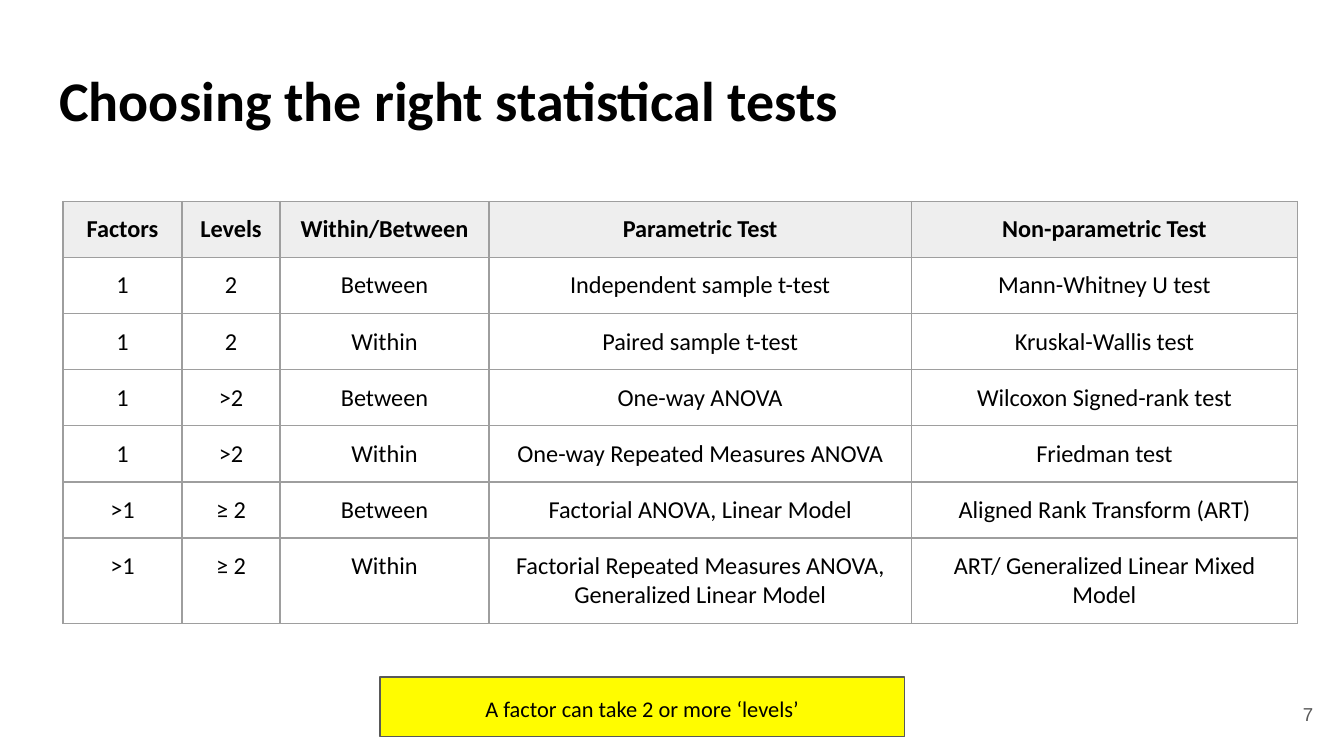
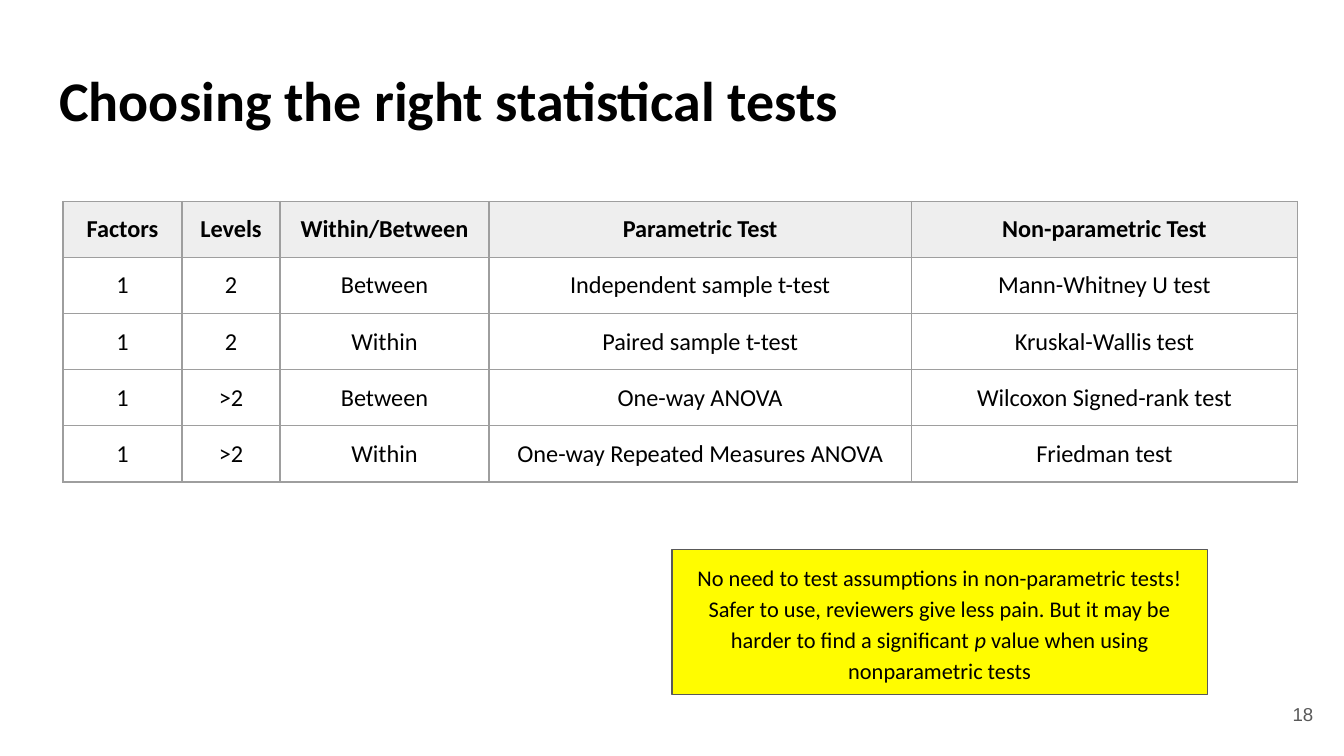
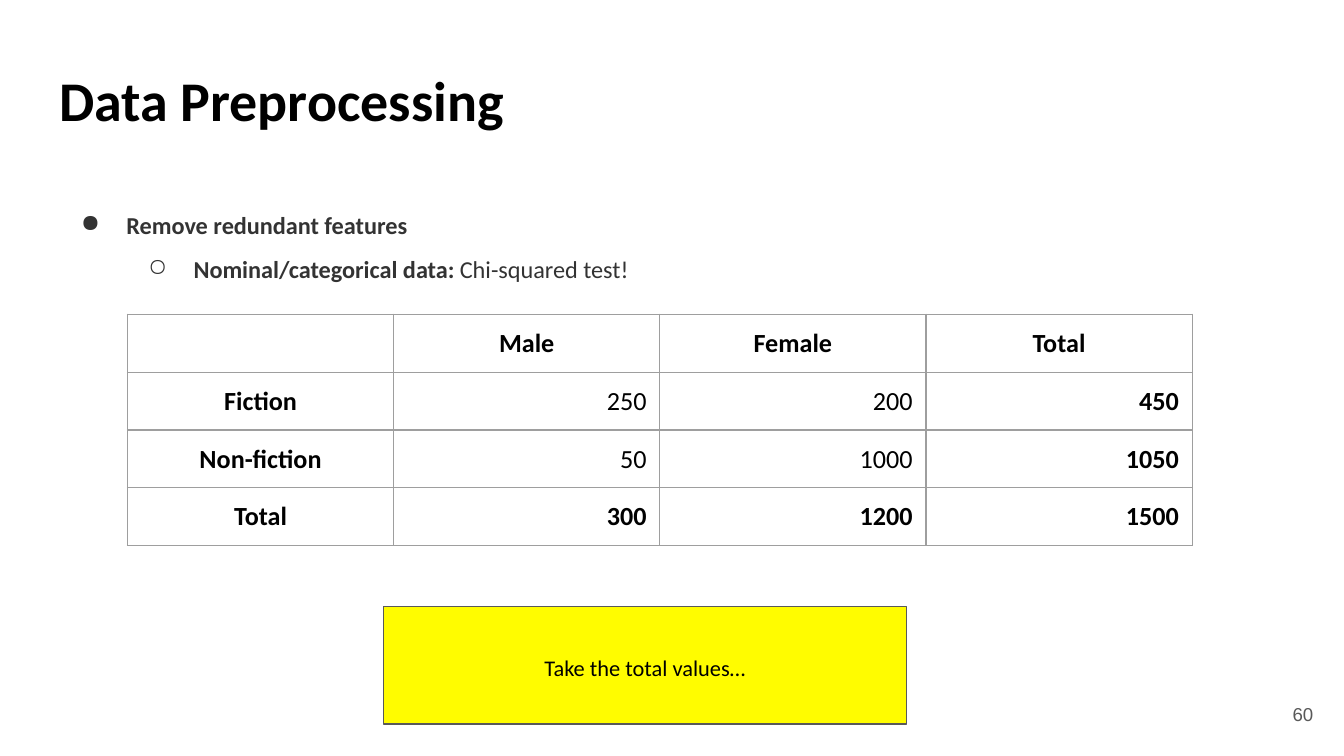
from dataclasses import dataclass

from lxml import etree
from pptx import Presentation
from pptx.dml.color import RGBColor
from pptx.enum import shapes, text
from pptx.oxml import ns
from pptx.util import Cm, Pt

LEFT, CENTER, RIGHT = text.PP_ALIGN.LEFT, text.PP_ALIGN.CENTER, text.PP_ALIGN.RIGHT


@dataclass(frozen=True)
class Theme:
    font: str = "Calibri"
    number_font: str = "Arial"
    ink: str = "000000"
    body: str = "333333"
    muted: str = "595959"
    border: str = "9E9E9E"
    header: str = "EEEEEE"
    paper: str = "FFFFFF"
    callout: str = "FFFC00"
    title_size: int = 30
    total_size: int = 14
    body_size: int = 13
    callout_size: int = 12
    number_size: int = 10
    line_width: float = 0.75
    inset: float = 0.25


THEME = Theme()
TITLE_BOX = (0.87, 1.24, 23.67, 1.6)
NUMBER_BOX = (23.55, 12.95, 1.52, 1.09)

TEST_COLUMNS = (2.25, 1.85, 3.95, 7.98, 7.3)
TESTS = [
    ("Factors", "Levels", "Within/Between", "Parametric Test", "Non-parametric Test"),
    ("1", "2", "Between", "Independent sample t-test", "Mann-Whitney U test"),
    ("1", "2", "Within", "Paired sample t-test", "Kruskal-Wallis test"),
    ("1", ">2", "Between", "One-way ANOVA", "Wilcoxon Signed-rank test"),
    ("1", ">2", "Within", "One-way Repeated Measures ANOVA", "Friedman test"),
    (">1", "≥ 2", "Between", "Factorial ANOVA, Linear Model", "Aligned Rank Transform (ART)"),
    (">1", "≥ 2", "Within", "Factorial Repeated Measures ANOVA, Generalized Linear Model",
     "ART/ Generalized Linear Mixed Model"),
]
READERS = [
    ("", "Male", "Female", "Total"),
    ("Fiction", "250", "200", "450"),
    ("Non-fiction", "50", "1000", "1050"),
    ("Total", "300", "1200", "1500"),
]


def rgb(value):
    return RGBColor.from_string(value)


def lengths(box):
    return [Cm(value) for value in box]


def set_font(font, size, color=THEME.ink, name=THEME.font, bold=None):
    font.size, font.name, font.bold = Pt(size), name, bold
    font.color.rgb = rgb(color)


def set_frame(frame, anchor=text.MSO_ANCHOR.TOP):
    frame.word_wrap = True
    frame.auto_size = text.MSO_AUTO_SIZE.NONE
    frame.vertical_anchor = anchor
    frame.margin_left = frame.margin_right = Cm(THEME.inset)
    frame.margin_top = frame.margin_bottom = Cm(THEME.inset)


def add_spans(para, spans):
    """Add (wording, style) runs, where style is "", "bold" or "italic"."""
    for wording, style in spans:
        span = para.add_run()
        span.text = wording
        if style:
            setattr(span.font, style, True)


def add_page(deck, title, number):
    page = deck.slides.add_slide(deck.slide_layouts[5])
    heading = page.shapes.title
    heading.left, heading.top, heading.width, heading.height = lengths(TITLE_BOX)
    set_frame(heading.text_frame)
    para = heading.text_frame.paragraphs[0]
    para.text, para.alignment, para.line_spacing = title, LEFT, 0.8
    set_font(para.font, THEME.title_size, bold=True)

    frame = page.shapes.add_textbox(*lengths(NUMBER_BOX)).text_frame
    set_frame(frame, text.MSO_ANCHOR.MIDDLE)
    para = frame.paragraphs[0]
    para.text, para.alignment = str(number), RIGHT
    set_font(para.font, THEME.number_size, THEME.muted, THEME.number_font)
    return page


def set_borders(cell):
    properties = cell._tc.get_or_add_tcPr()
    for side in ("a:lnL", "a:lnR", "a:lnT", "a:lnB"):
        line = etree.SubElement(properties, ns.qn(side), w=str(Pt(THEME.line_width)))
        fill = etree.SubElement(line, ns.qn("a:solidFill"))
        etree.SubElement(fill, ns.qn("a:srgbClr"), val=THEME.border)


def add_grid(page, left, top, columns, row_height, rows, size, style):
    """Draw a table; style(row, column) gives fill, alignment and boldness."""
    box = (left, top, sum(columns), row_height * len(rows))
    table = page.shapes.add_table(len(rows), len(columns), *lengths(box)).table
    table.first_row = table.horz_banding = False
    for column, width in zip(table.columns, columns):
        column.width = Cm(width)
    for r, row in enumerate(rows):
        table.rows[r].height = Cm(row_height)
        for c, wording in enumerate(row):
            fill, alignment, bold = style(r, c)
            cell = table.cell(r, c)
            set_borders(cell)
            cell.fill.solid()
            cell.fill.fore_color.rgb = rgb(fill)
            cell.margin_left = cell.margin_right = Cm(THEME.inset)
            cell.margin_top = cell.margin_bottom = Cm(THEME.inset)
            para = cell.text_frame.paragraphs[0]
            if wording:
                para.text = wording
            para.alignment = alignment
            set_font(para.font, size, bold=bold)


def add_test_table(page, rows):
    def style(row, column):
        return THEME.paper if row else THEME.header, CENTER, row == 0

    add_grid(page, 1.19, 3.81, TEST_COLUMNS, 1.06, rows, THEME.body_size, style)


def add_reader_table(page):
    last = len(READERS) - 1

    def style(row, column):
        label = row == 0 or column == 0
        return THEME.paper, CENTER if label else RIGHT, label or last in (row, column)

    add_grid(page, 2.41, 5.94, (5.03,) * 4, 1.07, READERS, THEME.total_size, style)


def add_callout(page, box, *spans):
    shape = page.shapes.add_shape(shapes.MSO_SHAPE.RECTANGLE, *lengths(box))
    shape.shadow.inherit = False
    shape.fill.solid()
    shape.fill.fore_color.rgb = rgb(THEME.callout)
    shape.line.color.rgb = rgb(THEME.muted)
    shape.line.width = Pt(THEME.line_width)
    set_frame(shape.text_frame, text.MSO_ANCHOR.MIDDLE)
    para = shape.text_frame.paragraphs[0]
    para.alignment, para.line_spacing = CENTER, 1.15
    add_spans(para, spans)
    set_font(para.font, THEME.callout_size)


def set_bullet(para, symbol, level):
    para.level = level
    properties = para._p.get_or_add_pPr()
    properties.set("marL", str(Cm(1.27 * (level + 1))))
    properties.set("indent", str(Cm(-0.86)))
    color = etree.SubElement(properties, ns.qn("a:buClr"))
    etree.SubElement(color, ns.qn("a:srgbClr"), val=THEME.body)
    etree.SubElement(properties, ns.qn("a:buChar"), char=symbol)


def add_outline(page, box, lines):
    """Write one bulleted line per level, each a list of spans."""
    frame = page.shapes.add_textbox(*lengths(box)).text_frame
    set_frame(frame)
    frame.auto_size = text.MSO_AUTO_SIZE.SHAPE_TO_FIT_TEXT
    for level, (symbol, spans) in enumerate(zip("●○", lines)):
        para = frame.add_paragraph() if level else frame.paragraphs[0]
        para.line_spacing = 1.5
        set_bullet(para, symbol, level)
        add_spans(para, spans)
        set_font(para.font, THEME.body_size, THEME.body)


def add_test_page(deck, number, rows, callout_box, *spans):
    page = add_page(deck, "Choosing the right statistical tests", number)
    add_test_table(page, rows)
    add_callout(page, callout_box, *spans)


def add_preprocessing_page(deck):
    page = add_page(deck, "Data Preprocessing", 60)
    add_outline(page, (0.87, 3.45, 22.25, 1.9), [
        [("Remove redundant features", "bold")],
        [("Nominal/categorical data: ", "bold"), ("Chi-squared test!", "")],
    ])
    add_reader_table(page)
    add_callout(page, (7.25, 11.46, 9.88, 2.23), ("Take the total values…", ""))


def main():
    deck = Presentation()
    deck.slide_width, deck.slide_height = Cm(25.4), Cm(14.29)
    add_test_page(deck, 7, TESTS, (7.18, 12.8, 9.92, 1.12),
                  ("A factor can take 2 or more ‘levels’", ""))
    add_test_page(deck, 18, TESTS[:5], (12.7, 10.39, 10.12, 2.74),
                  ("No need to test assumptions in non-parametric tests! Safer to use, reviewers "
                   "give less pain. But it may be harder to find a significant ", ""),
                  ("p", "italic"),
                  (" value when using nonparametric tests", ""))
    add_preprocessing_page(deck)
    deck.save("out.pptx")


if __name__ == "__main__":
    main()
